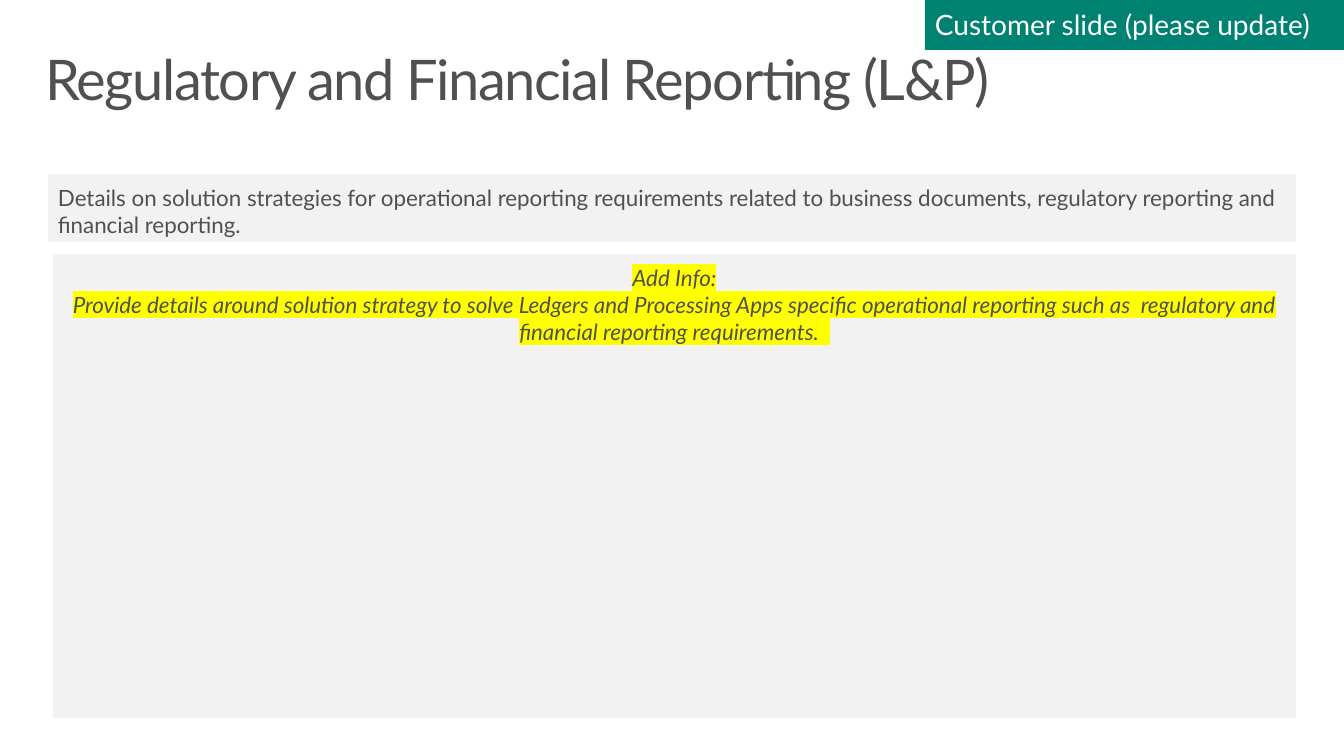
import pptx
import pptx.dml.color
import pptx.enum.shapes
import pptx.enum.text
import pptx.oxml
import pptx.oxml.ns
import pptx.util

EMU_PER_PX = 914400 / 100.8
ALIGN = pptx.enum.text.PP_ALIGN
ANCHOR = pptx.enum.text.MSO_ANCHOR
GREY_TEXT = "505050"
PANEL_GREY = "F2F2F2"
BANNER_GREEN = "008272"


def px(length):
    return pptx.util.Emu(round(length * EMU_PER_PX))


def color(hex_value):
    return pptx.dml.color.RGBColor.from_string(hex_value)


def place(shape, box):
    for side, length in zip(("left", "top", "width", "height"), box):
        setattr(shape, side, px(length))


def write(shape, lines, size, text_color, insets, anchor=ANCHOR.TOP,
          align=ALIGN.LEFT, italic=False):
    frame = shape.text_frame
    sides = ("margin_left", "margin_top", "margin_right", "margin_bottom")
    settings = {"word_wrap": True, "vertical_anchor": anchor,
                "auto_size": pptx.enum.text.MSO_AUTO_SIZE.NONE}
    settings.update(zip(sides, map(px, insets)))
    for name, value in settings.items():
        setattr(frame, name, value)
    frame.text = "\n".join(lines)
    font_format = {"name": "Lato", "size": pptx.util.Pt(size), "italic": italic}
    for paragraph in frame.paragraphs:
        paragraph.alignment = align
        for run in paragraph.runs:
            for name, value in font_format.items():
                setattr(run.font, name, value)
            run.font.color.rgb = color(text_color)


def highlight(shape, hex_value):
    for paragraph in shape.text_frame.paragraphs:
        for run in paragraph.runs:
            marker = pptx.oxml.parse_xml(
                f'<a:highlight {pptx.oxml.ns.nsdecls("a")}>'
                f'<a:srgbClr val="{hex_value}"/></a:highlight>')
            fill = run.font._element.find(pptx.oxml.ns.qn("a:solidFill"))
            fill.addnext(marker)


def add_panel(slide, box, fill):
    panel = slide.shapes.add_shape(
        pptx.enum.shapes.MSO_SHAPE.RECTANGLE, *map(px, box))
    panel.shadow.inherit = False
    panel.fill.solid()
    panel.fill.fore_color.rgb = color(fill)
    panel.line.fill.background()
    return panel


def add_title(slide, box):
    title = slide.shapes.title
    place(title, box)
    write(title, ["Regulatory and Financial Reporting (L&P)"], 40, GREY_TEXT,
          (16, 10, 16, 10))
    heading = title.text_frame.paragraphs[0]
    heading.line_spacing = 0.9
    heading.runs[0].font._element.set("spc", "-100")


def add_summary(slide, box):
    summary = add_panel(slide, box, PANEL_GREY)
    write(summary, [
        "Details on solution strategies for operational reporting requirements "
        "related to business documents, regulatory reporting and financial "
        "reporting."], 16, GREY_TEXT, (10, 10, 10, 5))


def add_banner(slide, box):
    banner = add_panel(slide, box, BANNER_GREEN)
    banner.line.color.rgb = color(BANNER_GREEN)
    banner.line.width = pptx.util.Pt(0.25)
    write(banner, ["Customer slide (please update)"], 20, "FFFFFF",
          (10, 5, 10, 5), anchor=ANCHOR.MIDDLE)


def add_details(slide, box):
    details = add_panel(slide, box, PANEL_GREY)
    write(details, [
        "Add Info:",
        "Provide details around solution strategy to solve Ledgers and "
        "Processing Apps specific operational reporting such as  regulatory "
        "and financial reporting requirements.  "], 16, GREY_TEXT,
        (10, 10, 10, 5), align=ALIGN.CENTER, italic=True)
    highlight(details, "FFFF00")


def main():
    deck = pptx.Presentation()
    deck.slide_width, deck.slide_height = px(1344), px(756)
    slide = deck.slides.add_slide(deck.slide_layouts[5])
    add_title(slide, (29, 42, 1285, 99))
    add_summary(slide, (48, 174, 1248, 68))
    add_banner(slide, (925, 0, 419, 49))
    add_details(slide, (53, 254, 1243, 464))
    deck.save("out.pptx")


if __name__ == "__main__":
    main()
